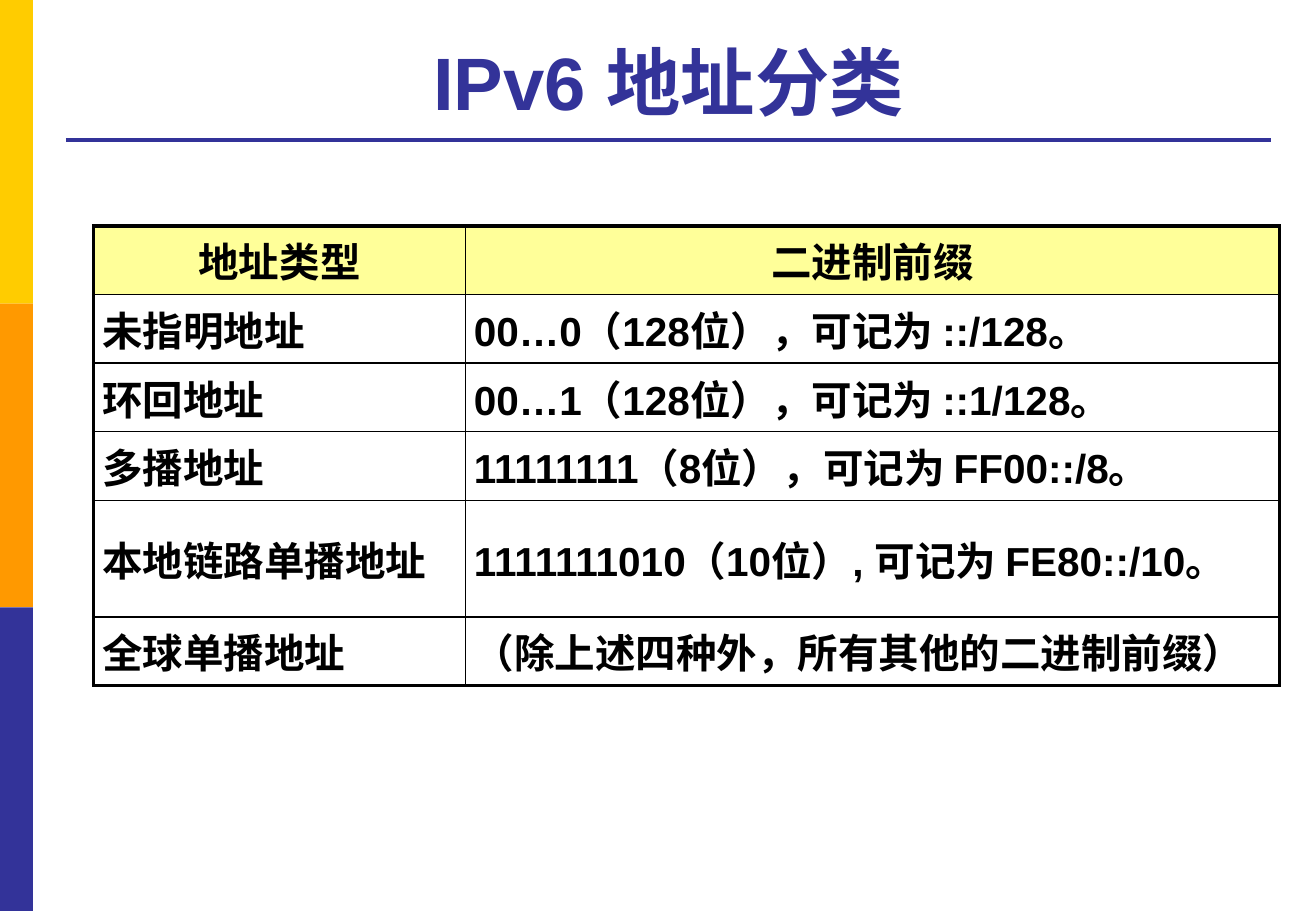
from lxml import etree
from pptx import Presentation
from pptx.dml.color import RGBColor
from pptx.enum.shapes import MSO_CONNECTOR, MSO_SHAPE
from pptx.enum.text import MSO_ANCHOR, PP_ALIGN
from pptx.oxml.ns import qn
from pptx.util import Inches, Pt

RECTANGLE = MSO_SHAPE.RECTANGLE
STRAIGHT = MSO_CONNECTOR.STRAIGHT
MIDDLE, BOTTOM = MSO_ANCHOR.MIDDLE, MSO_ANCHOR.BOTTOM
CENTER, JUSTIFY = PP_ALIGN.CENTER, PP_ALIGN.JUSTIFY

YELLOW = RGBColor(0xFF, 0xCC, 0x00)
ORANGE = RGBColor(0xFF, 0x99, 0x00)
INDIGO = RGBColor(0x33, 0x33, 0x99)
PALE_YELLOW = RGBColor(0xFF, 0xFF, 0x99)
BLACK = RGBColor(0x00, 0x00, 0x00)

FONT = "Arial"
WIDTH, HEIGHT = Inches(10.83), Inches(7.5)
BAND_WIDTH = WIDTH // 40
HEAD_LEFT, HEAD_WIDTH = WIDTH // 20, Inches(9.92)
COLUMN_WIDTHS = (Inches(3.06), Inches(6.7))
ROW_HEIGHT = Inches(3.39) // 6
TWO_LINE_HEIGHT = Inches(0.96)
TWO_LINE_ROW = 4
THICK, THIN = Pt(2.25), Pt(1)

ADDRESS_TYPES = [
    ("地址类型", "二进制前缀"),
    ("未指明地址", "00…0（128位），可记为 ::/128。"),
    ("环回地址", "00…1（128位），可记为 ::1/128。"),
    ("多播地址", "11111111（8位），可记为 FF00::/8。"),
    ("本地链路单播地址", "1111111010（10位）, 可记为 FE80::/10。"),
    ("全球单播地址", "（除上述四种外，所有其他的二进制前缀）"),
]


def write_text(frame, text, *, size, color=BLACK, align=CENTER):
    frame.word_wrap = True
    para = frame.paragraphs[0]
    para.alignment = align
    span = para.add_run()
    span.text = text
    span.font.name = FONT
    span.font.size = Pt(size)
    span.font.bold = True
    span.font.color.rgb = color


def add_side_bands(page, colors):
    band_height = HEIGHT // len(colors)
    for index, color in enumerate(colors):
        band = page.shapes.add_shape(
            RECTANGLE, 0, index * band_height, BAND_WIDTH, band_height)
        band.shadow.inherit = False
        band.fill.solid()
        band.fill.fore_color.rgb = color
        band.line.fill.background()


def add_title(page, text):
    box = page.shapes.add_textbox(
        HEAD_LEFT, Inches(0.21), HEAD_WIDTH, Inches(0.87))
    box.text_frame.vertical_anchor = BOTTOM
    write_text(box.text_frame, text, size=44, color=INDIGO)


def add_rule(page, top):
    rule = page.shapes.add_connector(
        STRAIGHT, HEAD_LEFT, top, HEAD_LEFT + HEAD_WIDTH, top)
    rule.line.color.rgb = INDIGO
    rule.line.width = THICK
    etree.SubElement(rule._element.spPr, qn("a:effectLst"))


def set_borders(cell, widths):
    properties = cell._tc.get_or_add_tcPr()
    for side, width in zip("LRTB", widths):
        border = etree.SubElement(properties, qn(f"a:ln{side}"), w=str(width))
        fill = etree.SubElement(border, qn("a:solidFill"))
        etree.SubElement(fill, qn("a:srgbClr"), val=str(BLACK))


def add_address_table(page, left, top, rows):
    row_count, column_count = len(rows), len(COLUMN_WIDTHS)
    heights = [ROW_HEIGHT] * row_count
    heights[TWO_LINE_ROW] = TWO_LINE_HEIGHT
    table = page.shapes.add_table(
        row_count, column_count, left, top,
        sum(COLUMN_WIDTHS), sum(heights)).table
    table.first_row = table.horz_banding = False
    for column, width in zip(table.columns, COLUMN_WIDTHS):
        column.width = width

    for row_index, texts in enumerate(rows):
        table.rows[row_index].height = heights[row_index]
        is_header = row_index == 0
        for column_index, text in enumerate(texts):
            cell = table.cell(row_index, column_index)
            cell.margin_left = cell.margin_right = Inches(0.07)
            cell.margin_top = cell.margin_bottom = 0
            cell.vertical_anchor = MIDDLE
            # Thick lines on the outside edges, thin ones within
            outer_edges = (column_index == 0, column_index == column_count - 1,
                           is_header, row_index == row_count - 1)
            set_borders(cell, [THICK if outer else THIN for outer in outer_edges])
            if is_header:
                cell.fill.solid()
                cell.fill.fore_color.rgb = PALE_YELLOW
            else:
                cell.fill.background()
            write_text(cell.text_frame, text, size=24,
                       align=CENTER if is_header else JUSTIFY)


def main():
    deck = Presentation()
    deck.slide_width, deck.slide_height = WIDTH, HEIGHT
    page = deck.slides.add_slide(deck.slide_layouts[6])

    # Frame of the page
    add_side_bands(page, (YELLOW, ORANGE, INDIGO))
    add_rule(page, Inches(1.15))

    # Content
    add_title(page, "IPv6 地址分类")
    add_address_table(page, Inches(0.77), Inches(1.86), ADDRESS_TYPES)

    deck.save("out.pptx")


if __name__ == "__main__":
    main()
